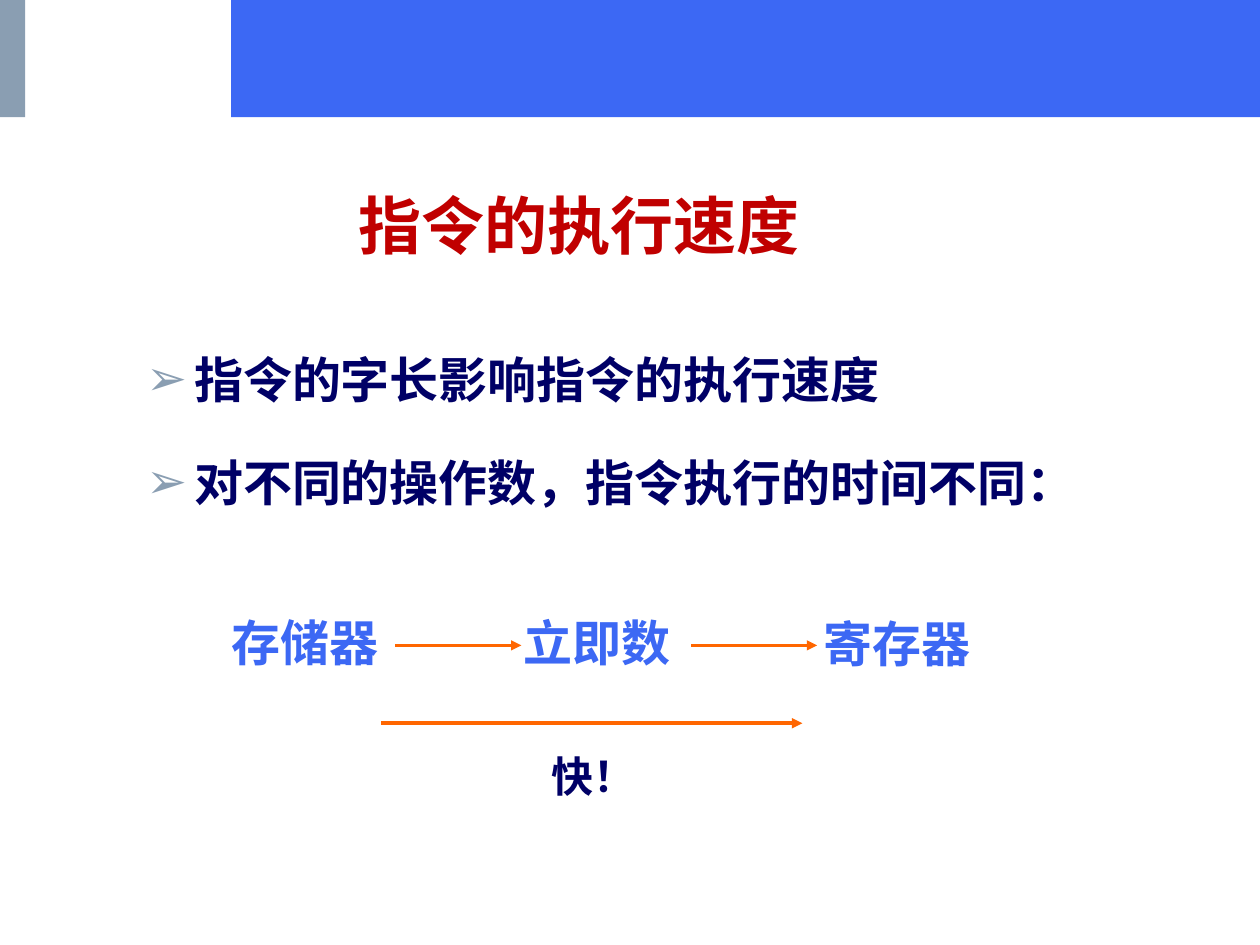
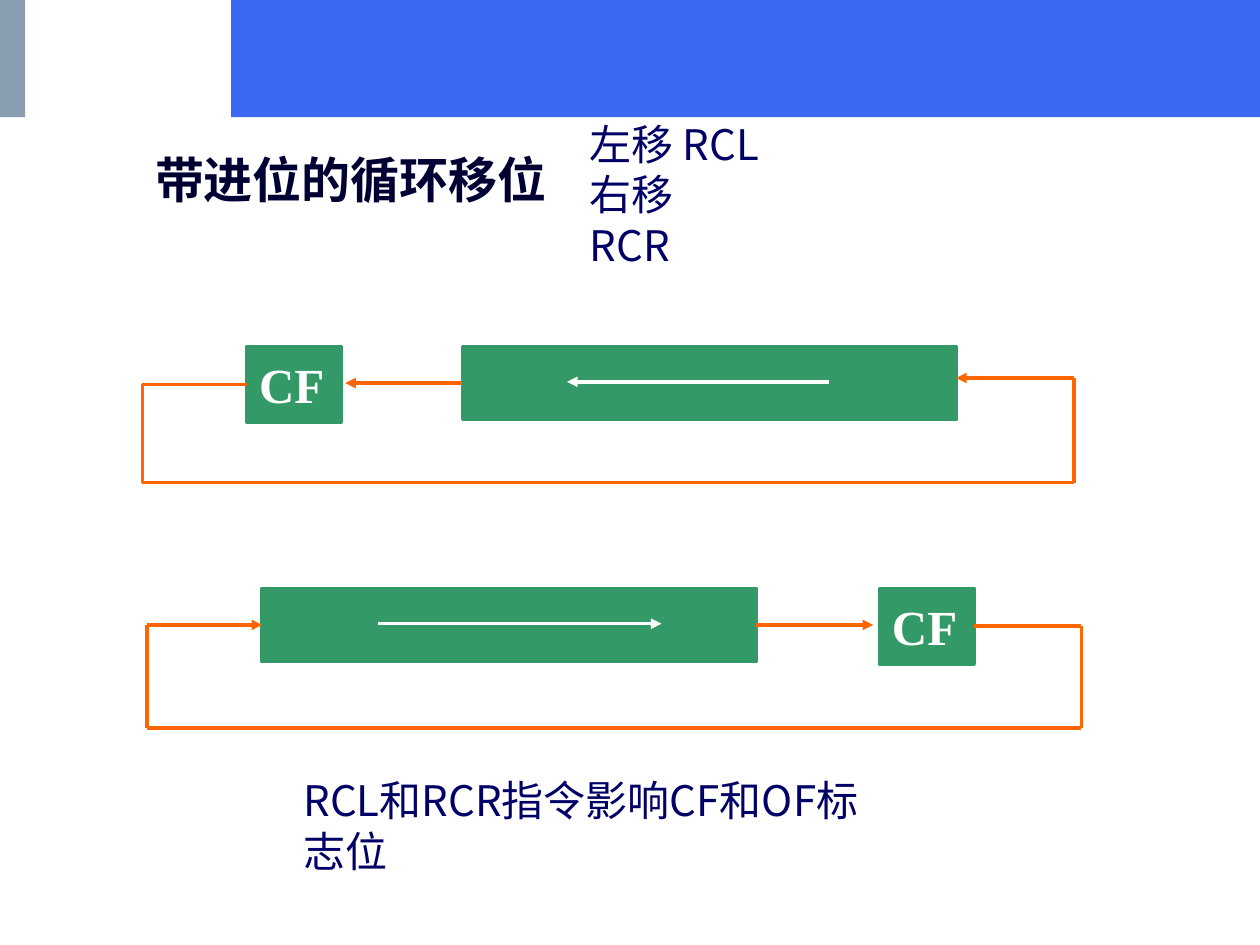
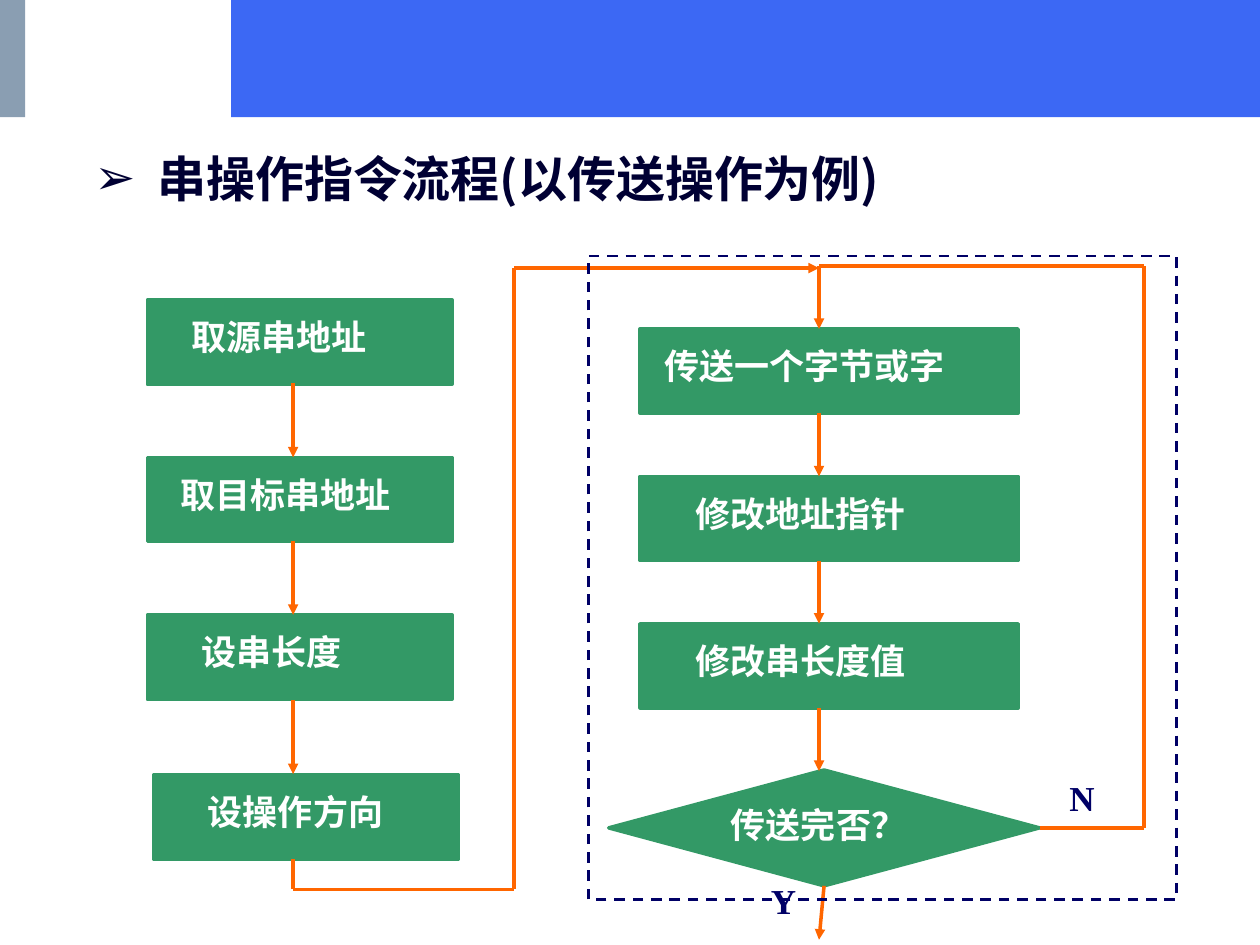
from dataclasses import dataclass

from lxml.etree import SubElement
from pptx import Presentation
from pptx.dml.color import RGBColor
from pptx.enum.dml import MSO_LINE
from pptx.enum.shapes import MSO_CONNECTOR, MSO_SHAPE
from pptx.enum.text import MSO_ANCHOR, PP_ALIGN
from pptx.oxml.ns import qn
from pptx.util import Pt


@dataclass(frozen=True)
class Theme:
    blue: str = "3C68F4"
    slate: str = "8A9EB2"
    red: str = "C00000"
    navy: str = "000066"
    dark: str = "000033"
    orange: str = "FF6600"
    green: str = "339966"
    white: str = "FFFFFF"
    headline: int = 36
    heading: int = 28
    note: int = 24
    step: int = 20
    cjk: str = "Noto Sans CJK SC"
    serif: str = "Times New Roman"
    sans: str = "Arial"
    symbol: str = "DejaVu Sans"


theme = Theme()
TOP, LEFT, BOTTOM, RIGHT = range(4)


def write(box, text, size, colour, font=theme.serif, bold=True, anchor=MSO_ANCHOR.MIDDLE,
          bullet_colour=None, hanging=0):
    """Fill a shape with left-aligned text, with arrow bullets if a bullet colour is given."""
    frame = box.text_frame
    frame.text = text
    frame.word_wrap = True
    frame.vertical_anchor = anchor
    for paragraph in frame.paragraphs:
        paragraph.alignment = PP_ALIGN.LEFT
        if bullet_colour:
            properties = paragraph._p.get_or_add_pPr()
            properties.set("marL", str(Pt(hanging)))
            properties.set("indent", str(-Pt(hanging)))
            paint = SubElement(properties, qn("a:buClr"))
            SubElement(paint, qn("a:srgbClr"), val=bullet_colour)
            SubElement(properties, qn("a:buFont"), typeface=theme.symbol)
            SubElement(properties, qn("a:buChar"), char="➢")
        for span in paragraph.runs:
            span.font.size = Pt(size)
            span.font.bold = bold
            span.font.name = font
            span.font.color.rgb = RGBColor.from_string(colour)
            SubElement(span._r.get_or_add_rPr(), qn("a:ea"), typeface=theme.cjk)


def route(page, points, colour=theme.orange, width=2, arrow=True, start=None, finish=None):
    """Draw straight connectors through the points; start and finish are (shape, side)."""
    for (x1, y1), (x2, y2) in zip(points, points[1:]):
        line = page.shapes.add_connector(MSO_CONNECTOR.STRAIGHT, Pt(x1), Pt(y1), Pt(x2), Pt(y2))
        line.line.color.rgb = RGBColor.from_string(colour)
        line.line.width = Pt(width)
        if start and (x1, y1) == points[0]:
            line.begin_connect(*start)
        if (x2, y2) == points[-1]:
            if finish:
                line.end_connect(*finish)
            if arrow:
                SubElement(line.line._get_or_add_ln(), qn("a:tailEnd"), type="triangle")
        SubElement(line._element.spPr, qn("a:effectLst"))


deck = Presentation()
deck.slide_width, deck.slide_height = Pt(720), Pt(540)

# Pages with the shared bands and their titles
titles = [
    ("指令的执行速度", (198, 106, 281, 44.5), theme.headline, theme.red, theme.cjk, None),
    ("带进位的循环移位", (81.5, 80, 250.5, 44.5), theme.heading, theme.dark, theme.sans, None),
    ("串操作指令流程(以传送操作为例)", (46.8, 79.2, 516, 44.5), theme.heading, theme.dark,
     theme.cjk, theme.dark),
]
pages = []
for text, place, size, colour, font, bullet_colour in titles:
    page = deck.slides.add_slide(deck.slide_layouts[6])
    for left, width, fill in [(132, 588, theme.blue), (0, 14.4, theme.slate)]:
        band = page.shapes.add_shape(MSO_SHAPE.RECTANGLE, Pt(left), Pt(0), Pt(width), Pt(67))
        band.shadow.inherit = False
        band.fill.solid()
        band.fill.fore_color.rgb = RGBColor.from_string(fill)
        band.line.fill.background()
    title = page.shapes.add_textbox(*map(Pt, place))
    write(title, text, size, colour, font, bullet_colour=bullet_colour, hanging=36)
    pages.append(page)
speed_page, rotate_page, string_page = pages
green_boxes = []

# Slide 1: bullet points
body = speed_page.shapes.add_textbox(Pt(76.5), Pt(179.3), Pt(556), Pt(150))
write(body, "指令的字长影响指令的执行速度\n对不同的操作数，指令执行的时间不同：", theme.heading,
      theme.navy, theme.symbol, anchor=MSO_ANCHOR.TOP, bullet_colour=theme.slate, hanging=27.4)
first_point, second_point = body.text_frame.paragraphs
first_point.line_spacing = second_point.line_spacing = 1.5
first_point.space_after = Pt(2.8)
second_point.space_before = Pt(5.6)

# Slide 1: operand kinds from slow to fast
for text, left, top in [("存储器", 125.3, 346.3), ("立即数", 292.3, 346.3), ("寄存器", 463.7, 347)]:
    label = speed_page.shapes.add_textbox(Pt(left), Pt(top), Pt(125), Pt(41))
    write(label, text, theme.heading, theme.blue)
for left in (226, 395):
    route(speed_page, [(left, 368.8), (left + 72, 368.8)], width=1.75)
route(speed_page, [(218, 413.3), (458.5, 413.3)])
fast = speed_page.shapes.add_textbox(Pt(308), Pt(425.5), Pt(78), Pt(36))
write(fast, "快！", theme.note, theme.navy)

# Slide 2: registers and carry flags
registers, flags = [], []
for top, register_left, flag_left in [(198, 264.2, 141), (336.2, 149.8, 502.6)]:
    register = rotate_page.shapes.add_shape(
        MSO_SHAPE.RECTANGLE, Pt(register_left), Pt(top), Pt(282.2), Pt(41.8))
    flag = rotate_page.shapes.add_shape(
        MSO_SHAPE.RECTANGLE, Pt(flag_left), Pt(top), Pt(54), Pt(43.2))
    write(flag, "CF", theme.heading, theme.white)
    registers.append(register)
    flags.append(flag)
green_boxes += registers + flags

# Slide 2: rotate left through carry
route(rotate_page, [(474, 218.2), (324, 218.2)], theme.white)
route(rotate_page, [(264.2, 218.9), (197.3, 218.9)], start=(registers[0], LEFT))
route(rotate_page, [(141, 219.6), (81.4, 219.6), (81.4, 275.8), (613.8, 275.8), (613.8, 216),
                    (546.4, 216)], start=(flags[0], LEFT))

# Slide 2: rotate right through carry
route(rotate_page, [(216, 356.4), (378, 356.4)], theme.white)
route(rotate_page, [(432, 357.1), (499, 357.1)], start=(registers[1], RIGHT))
route(rotate_page, [(556.6, 357.8), (618, 357.8), (618, 416), (84, 416), (84, 357.1),
                    (149.8, 357.1)], start=(flags[1], RIGHT), finish=(registers[1], LEFT))

# Slide 2: notes
for text, place in [("左移 RCL\n右移 RCR", (329.8, 64, 111.6, 65.5)),
                    ("RCL和RCR指令影响CF和OF标志位", (166.3, 439.2, 352.8, 36.7))]:
    note = rotate_page.shapes.add_textbox(*map(Pt, place))
    write(note, text, theme.note, theme.navy, theme.cjk, bold=False, anchor=MSO_ANCHOR.TOP)

# Slide 3: steps as text, left, top, width, text inset
steps = [
    ("取源串地址", 84.2, 171.4, 174.2, 25.2),
    ("取目标串地址", 84.2, 261.4, 174.2, 18.7),
    ("设串长度", 84.2, 351.4, 174.2, 31),
    ("设操作方向", 87.8, 442.8, 174.2, 31),
    ("传送一个字节或字", 365.8, 188, 216, 13.7),
    ("修改地址指针", 365.8, 272.2, 216, 31.7),
    ("修改串长度值", 365.8, 356.4, 216, 31.7),
]
for text, left, top, width, inset in steps:
    step = string_page.shapes.add_shape(
        MSO_SHAPE.RECTANGLE, Pt(left), Pt(top), Pt(width), Pt(48.2))
    write(step, text, theme.step, theme.white)
    step.text_frame.margin_left = Pt(inset)
    step.text_frame.margin_top, step.text_frame.margin_bottom = Pt(0), Pt(6)
    green_boxes.append(step)
decision = string_page.shapes.add_shape(
    MSO_SHAPE.FLOWCHART_DECISION, Pt(347.8), Pt(440), Pt(246.2), Pt(66.2))
write(decision, "传送完否？", theme.step, theme.white)
decision.text_frame.margin_left, decision.text_frame.margin_right = Pt(8.3), Pt(0)
decision.text_frame.margin_top, decision.text_frame.margin_bottom = Pt(0), Pt(4)
green_boxes.append(decision)

# Slide 3: setup flow, then the transfer loop
for top in (219, 309, 400):
    route(string_page, [(167.5, top), (167.5, top + 42.4)])
route(string_page, [(167.5, 491), (167.5, 508.3), (293.8, 508.3), (293.8, 153.2), (468, 153.2)])
for index in range(4):
    top = 152 + 84.2 * index
    route(string_page, [(468, top), (468, top + 36)])
route(string_page, [(594, 473.1), (653.8, 473.1), (653.8, 152), (468, 152)], arrow=False,
      start=(decision, RIGHT))
route(string_page, [(470.9, 506.2), (468, 537)], start=(decision, BOTTOM))

# Slide 3: loop frame and branch labels
loop_frame = string_page.shapes.add_shape(
    MSO_SHAPE.RECTANGLE, Pt(336.2), Pt(146.2), Pt(336.2), Pt(367.9))
loop_frame.shadow.inherit = False
loop_frame.fill.background()
loop_frame.line.color.rgb = RGBColor.from_string(theme.navy)
loop_frame.line.width = Pt(1.5)
loop_frame.line.dash_style = MSO_LINE.DASH
for text, left, top in [("N", 604, 440), ("Y", 433.4, 499)]:
    branch = string_page.shapes.add_textbox(Pt(left), Pt(top), Pt(34), Pt(31))
    write(branch, text, theme.step, theme.navy)

# Shared look of the green boxes
for box in green_boxes:
    box.shadow.inherit = False
    box.fill.solid()
    box.fill.fore_color.rgb = RGBColor.from_string(theme.green)
    box.line.color.rgb = RGBColor.from_string(theme.green)
    box.line.width = Pt(2)

deck.save("out.pptx")
